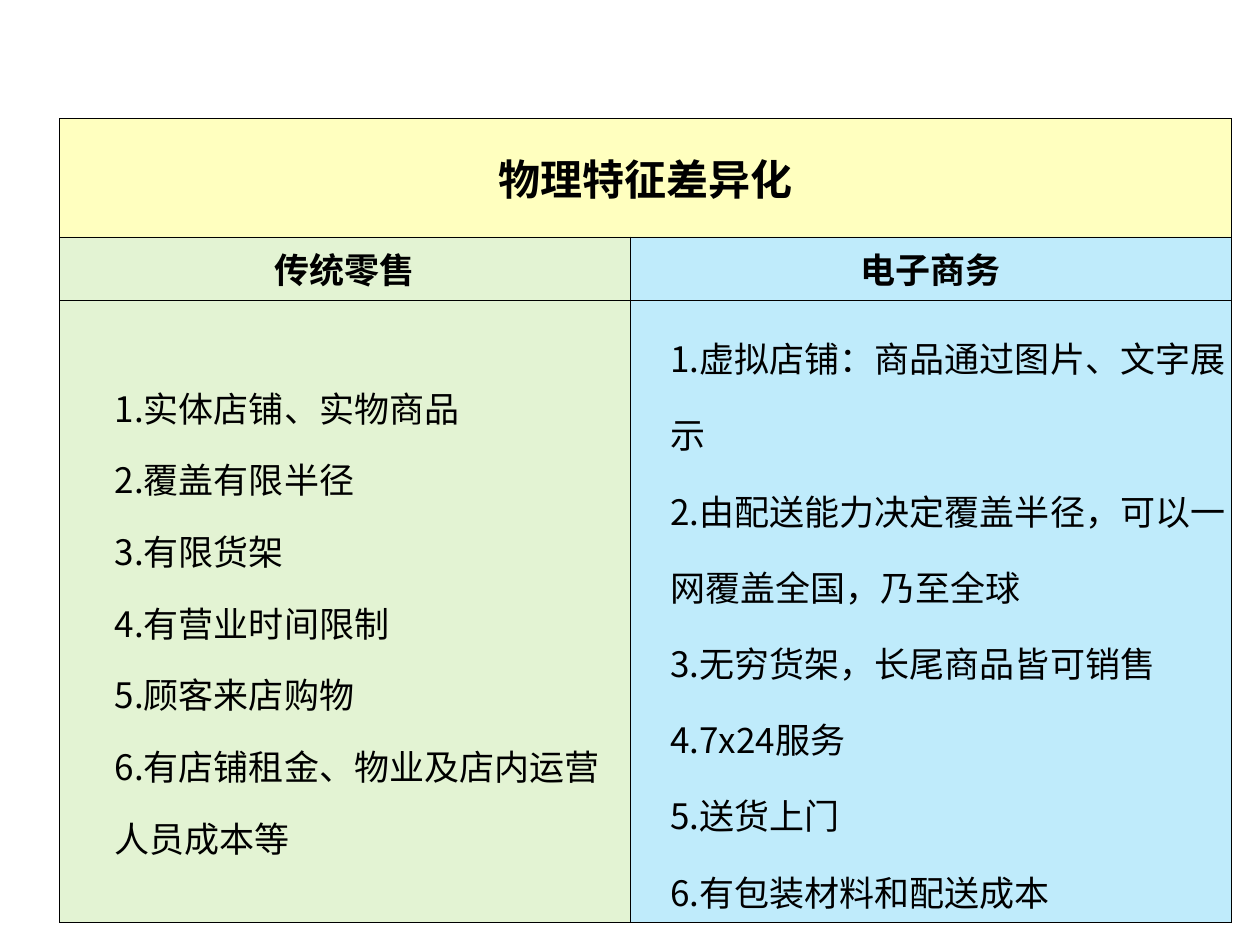
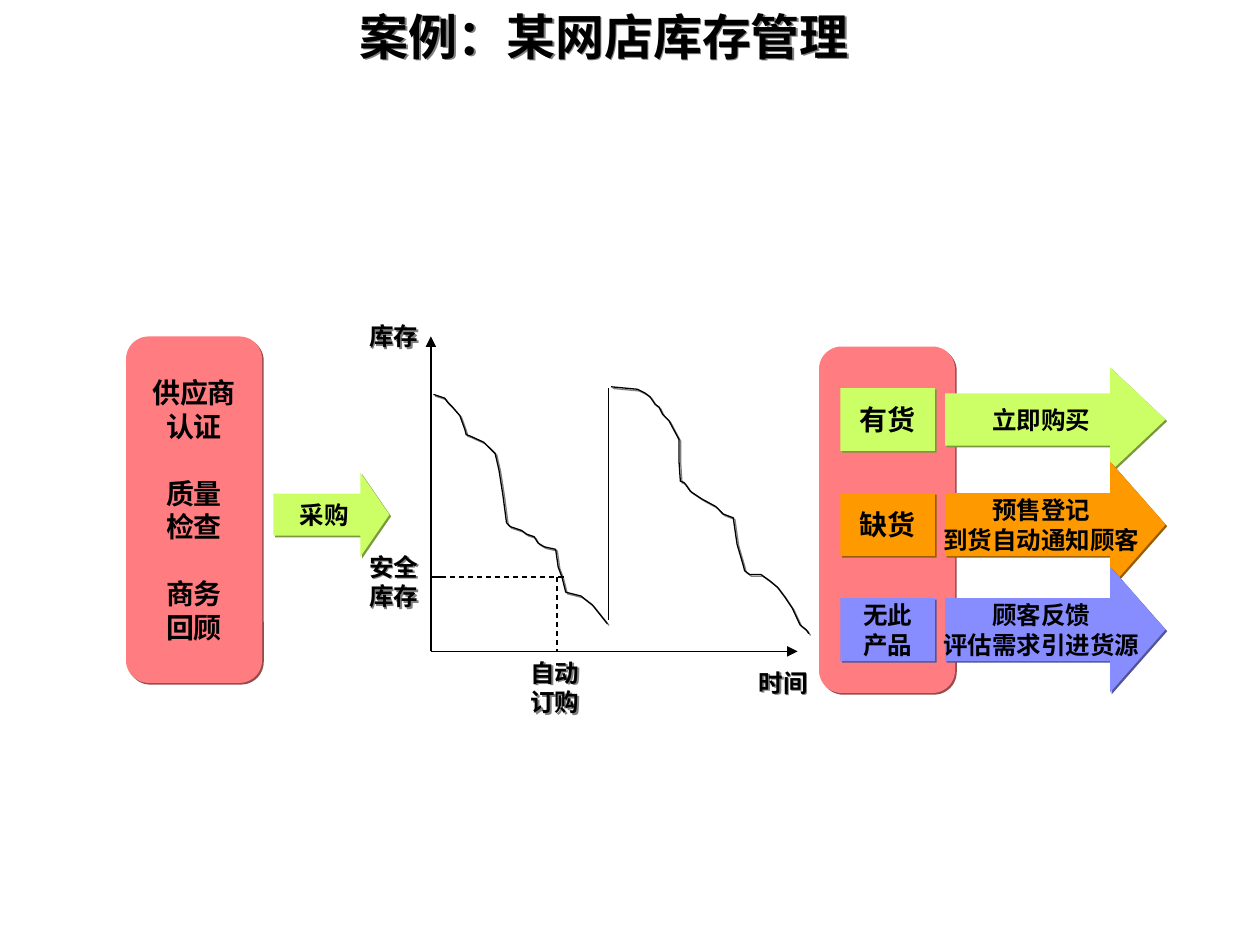
from lxml.etree import SubElement
from pptx import Presentation
from pptx.dml.color import RGBColor
from pptx.enum.dml import MSO_LINE
from pptx.enum.shapes import MSO_CONNECTOR, MSO_SHAPE
from pptx.enum.text import MSO_ANCHOR, PP_ALIGN
from pptx.oxml.ns import qn
from pptx.util import Inches, Pt

BLACK = "000000"
TEXT_SHADOW = "808080"
LATIN_FONT = "Arial"
CHINESE_FONT = "Noto Sans CJK SC"
PINK, PINK_SHADOW = "FF7C80", "994A4D"
LIME, LIME_SHADOW = "CCFF66", "7A993D"
ORANGE, ORANGE_SHADOW = "FF9900", "995C00"
VIOLET, VIOLET_SHADOW = "878CFF", "515499"
YELLOW, GREEN, BLUE = "FFFF00", "92D050", "00B0F0"

TABLE_ROWS = [
    ("物理特征差异化", ""),
    ("传统零售", "电子商务"),
]
RETAIL_FEATURES = [
    "1.实体店铺、实物商品\n2.覆盖有限半径\n3.有限货架\n4.有营业时间限制\n"
    "5.顾客来店购物\n6.有店铺租金、物业及店内运营人员成本等",
]
ONLINE_FEATURES = [
    "1.虚拟店铺：商品通过图片、文字展示\n2.由配送能力决定覆盖半径，可以一网覆盖全国，乃至全球",
    "3.无穷货架，长尾商品皆可销售\n4.7x24服务",
    "5.送货上门\n6.有包装材料和配送成本",
]
OUTCOMES = [
    (["有货"], 16, ["立即购买"], 0.83, LIME, LIME_SHADOW),
    (["缺货"], 16, ["预售登记", "到货自动通知顾客"], 1, ORANGE, ORANGE_SHADOW),
    (["无此", "产品"], 14, ["顾客反馈", "评估需求引进货源"], 1, VIOLET, VIOLET_SHADOW),
]
FIRST_STOCK_CURVE = [
    (0.61, 0.63), (0.67, 0.65), (0.7, 0.66), (0.72, 0.69), (0.76, 0.73), (0.82, 0.8),
    (0.86, 0.91), (0.87, 0.95), (0.9, 0.96), (1.01, 1.01), (1.1, 1.1), (1.13, 1.23),
    (1.16, 1.42), (1.19, 1.65), (1.22, 1.68), (1.31, 1.71), (1.35, 1.74), (1.41, 1.76),
    (1.44, 1.81), (1.49, 1.84), (1.58, 1.86), (1.6, 2), (1.63, 2.08), (1.66, 2.2),
    (1.78, 2.23), (1.87, 2.3), (1.99, 2.45),
]
SECOND_STOCK_CURVE = [
    (2.02, 0.57), (2.23, 0.59), (2.29, 0.62), (2.33, 0.65), (2.37, 0.71), (2.4, 0.73),
    (2.43, 0.79), (2.48, 0.84), (2.56, 0.99), (2.56, 1.17), (2.57, 1.32), (2.6, 1.33),
    (2.65, 1.4), (2.74, 1.46), (2.85, 1.52), (2.91, 1.58), (2.99, 1.61), (3.02, 1.82),
    (3.07, 1.99), (3.08, 2.03), (3.12, 2.06), (3.21, 2.06), (3.28, 2.11), (3.34, 2.16),
    (3.4, 2.24), (3.46, 2.33), (3.52, 2.46), (3.57, 2.5), (3.59, 2.53),
]


def color(hex_string):
    return RGBColor.from_string(hex_string)


def write_text(frame, lines, size=14, bold=True, font=LATIN_FONT, align=PP_ALIGN.CENTER,
               line_spacing=None, indent=0, gap=0):
    for index, line in enumerate(lines):
        paragraph = frame.paragraphs[0] if index == 0 else frame.add_paragraph()
        paragraph.text = line
        paragraph.alignment = align
        if line_spacing:
            paragraph.line_spacing = line_spacing
        if gap and index and index % 2 == 0:
            paragraph.space_before = Pt(gap)
        if indent:
            properties = paragraph._p.get_or_add_pPr()
            properties.set("marL", str(Inches(indent)))
            properties.set("indent", "0")
        for run in paragraph.runs:
            run.font.size = Pt(size)
            run.font.bold = bold
            run.font.name = font
            run.font.color.rgb = color(BLACK)
            east_asian = SubElement(run.font._element, qn("a:ea"))
            east_asian.set("typeface", CHINESE_FONT)


def add_shadow(shape, hex_string):
    shape.shadow.inherit = False
    effects = shape.element.spPr.find(qn("a:effectLst"))
    shadow = SubElement(effects, qn("a:outerShdw"), blurRad="0", dist=str(Pt(1.4)),
                        dir="2700000", algn="ctr", rotWithShape="0")
    SubElement(shadow, qn("a:srgbClr"), val=hex_string)


def add_block(slide, preset, box, fill, shadow, lines=(), **text_format):
    shape = slide.shapes.add_shape(preset, *map(Inches, box))
    shape.fill.solid()
    shape.fill.fore_color.rgb = color(fill)
    shape.line.fill.background()
    add_shadow(shape, shadow)
    shape.text_frame.word_wrap = False
    shape.text_frame.vertical_anchor = MSO_ANCHOR.MIDDLE
    write_text(shape.text_frame, lines, **text_format)
    return shape


def add_arrow(slide, box, head_length, fill, shadow, lines):
    arrow = add_block(slide, MSO_SHAPE.RIGHT_ARROW, box, fill, shadow, lines)
    arrow.adjustments[0] = 0.5
    arrow.adjustments[1] = head_length / box[3]


def add_label(slide, box, lines, wrap=False, **text_format):
    label = slide.shapes.add_textbox(*map(Inches, box))
    label.text_frame.word_wrap = wrap
    write_text(label.text_frame, lines, **text_format)
    add_shadow(label, TEXT_SHADOW)


def add_line(slide, start, end, dashed=False, arrow=False):
    line = slide.shapes.add_connector(MSO_CONNECTOR.STRAIGHT, *map(Inches, start + end))
    line.line.color.rgb = color(BLACK)
    line.line.width = Pt(0.75)
    if dashed:
        line.line.dash_style = MSO_LINE.DASH
    if arrow:
        SubElement(line.line._get_or_add_ln(), qn("a:tailEnd"), type="triangle")
    SubElement(line.element.spPr, qn("a:effectLst"))


def add_curve(slide, points):
    points = [(Inches(x), Inches(y)) for x, y in points]
    builder = slide.shapes.build_freeform(*points[0])
    builder.add_line_segments(points[1:], close=False)
    curve = builder.convert_to_shape()
    curve.fill.background()
    curve.line.color.rgb = color(BLACK)
    curve.line.width = Pt(0.75)
    add_shadow(curve, TEXT_SHADOW)


def style_cell(cell, fill):
    cell.vertical_anchor = MSO_ANCHOR.MIDDLE
    cell.margin_left = cell.margin_right = Inches(0.01)
    cell.margin_top = cell.margin_bottom = Inches(0.05)
    cell.fill.solid()
    cell.fill.fore_color.rgb = color(fill)
    properties = cell._tc.get_or_add_tcPr()
    SubElement(properties.find(qn("a:solidFill"))[0], qn("a:alpha"), val="25000")
    for position, side in enumerate(("lnL", "lnR", "lnT", "lnB")):
        border = SubElement(properties, qn(f"a:{side}"), w=str(Pt(0.23)))
        SubElement(SubElement(border, qn("a:solidFill")), qn("a:srgbClr"), val=BLACK)
        properties.insert(position, border)


def add_comparison_table(slide, left, top):
    widths, heights = (4.53, 4.77), (0.94, 0.45, 4.31)
    frame = slide.shapes.add_table(3, 2, Inches(left), Inches(top),
                                   Inches(sum(widths)), Inches(sum(heights)))
    table = frame.table
    table.first_row = table.horz_banding = False
    for column, width in zip(table.columns, widths):
        column.width = Inches(width)
    for row, height in zip(table.rows, heights):
        row.height = Inches(height)
    table.cell(0, 0).merge(table.cell(0, 1))
    for row_index in range(3):
        for column_index, fill in enumerate((GREEN, BLUE)):
            style_cell(table.cell(row_index, column_index), fill if row_index else YELLOW)
    for row_index, (titles, size) in enumerate(zip(TABLE_ROWS, (24, 20))):
        for column_index, title in enumerate(titles):
            if title:
                write_text(table.cell(row_index, column_index).text_frame, [title],
                           size=size, font=CHINESE_FONT)
    columns = [(RETAIL_FEATURES, Pt(41), 0.43), (ONLINE_FEATURES, 1.5, 0.31)]
    for column_index, (features, spacing, indent) in enumerate(columns):
        write_text(table.cell(2, column_index).text_frame, features, size=20, bold=False,
                   font=CHINESE_FONT, align=PP_ALIGN.LEFT, line_spacing=spacing, indent=indent)


def add_supply(slide, left, top):
    add_block(slide, MSO_SHAPE.FLOWCHART_ALTERNATE_PROCESS, (left, top, 1.08, 2.75),
              PINK, PINK_SHADOW, ["供应商", "认证", "质量", "检查", "商务", "回顾"],
              size=16, gap=19)
    add_arrow(slide, (left + 1.17, top + 1.08, 0.92, 0.67), 0.23,
              LIME, LIME_SHADOW, ["采购"])


def add_stock_diagram(slide, left, top):
    def at(x, y):
        return left + x, top + y

    origin = at(0.59, 2.67)
    add_line(slide, origin, at(0.59, 0.17), arrow=True)
    add_line(slide, origin, at(3.5, 2.67), arrow=True)
    for points in (FIRST_STOCK_CURVE, SECOND_STOCK_CURVE):
        add_curve(slide, [at(x, y) for x, y in points])
    add_line(slide, at(2, 2.42), at(2, 0.58))
    add_line(slide, at(0.59, 2.08), at(0.67, 2.08))
    add_line(slide, at(0.67, 2.08), at(1.67, 2.08), dashed=True)
    add_line(slide, at(1.59, 2.08), at(1.59, 2.67), dashed=True)
    for x, y, lines in [(0, 0, ["库存"]), (0, 1.83, ["安全", "库存"]),
                        (1.28, 2.67, ["自动", "订购"]), (3.09, 2.75, ["时间"])]:
        add_label(slide, at(x, y) + (0.59, 0.34 if len(lines) == 1 else 0.57), lines)


def add_outcomes(slide, left, top):
    add_block(slide, MSO_SHAPE.FLOWCHART_ALTERNATE_PROCESS, (left, top, 1.08, 2.75),
              PINK, PINK_SHADOW)
    for index, (state, size, action, height, fill, shadow) in enumerate(OUTCOMES):
        middle = top + 0.58 + index * 2.5 / 3
        add_block(slide, MSO_SHAPE.RECTANGLE, (left + 0.17, middle - 0.25, 0.75, 0.5),
                  fill, shadow, state, size=size)
        add_arrow(slide, (left + 1, middle - height / 2, 1.75, height), 0.44,
                  fill, shadow, action)


def build_comparison_slide(slide):
    add_comparison_table(slide, 0.47, 0.94)


def build_stock_slide(slide):
    add_label(slide, (2.67, 0, 4.25, 0.57), ["案例：某网店库存管理"], wrap=True,
              size=28, font=CHINESE_FONT)
    add_supply(slide, 1, 2.67)
    add_stock_diagram(slide, 2.83, 2.5)
    add_outcomes(slide, 6.5, 2.75)


def main():
    presentation = Presentation()
    presentation.slide_width = Inches(10)
    presentation.slide_height = Inches(7.5)
    for build in (build_comparison_slide, build_stock_slide):
        build(presentation.slides.add_slide(presentation.slide_layouts[6]))
    presentation.save("out.pptx")


if __name__ == "__main__":
    main()
